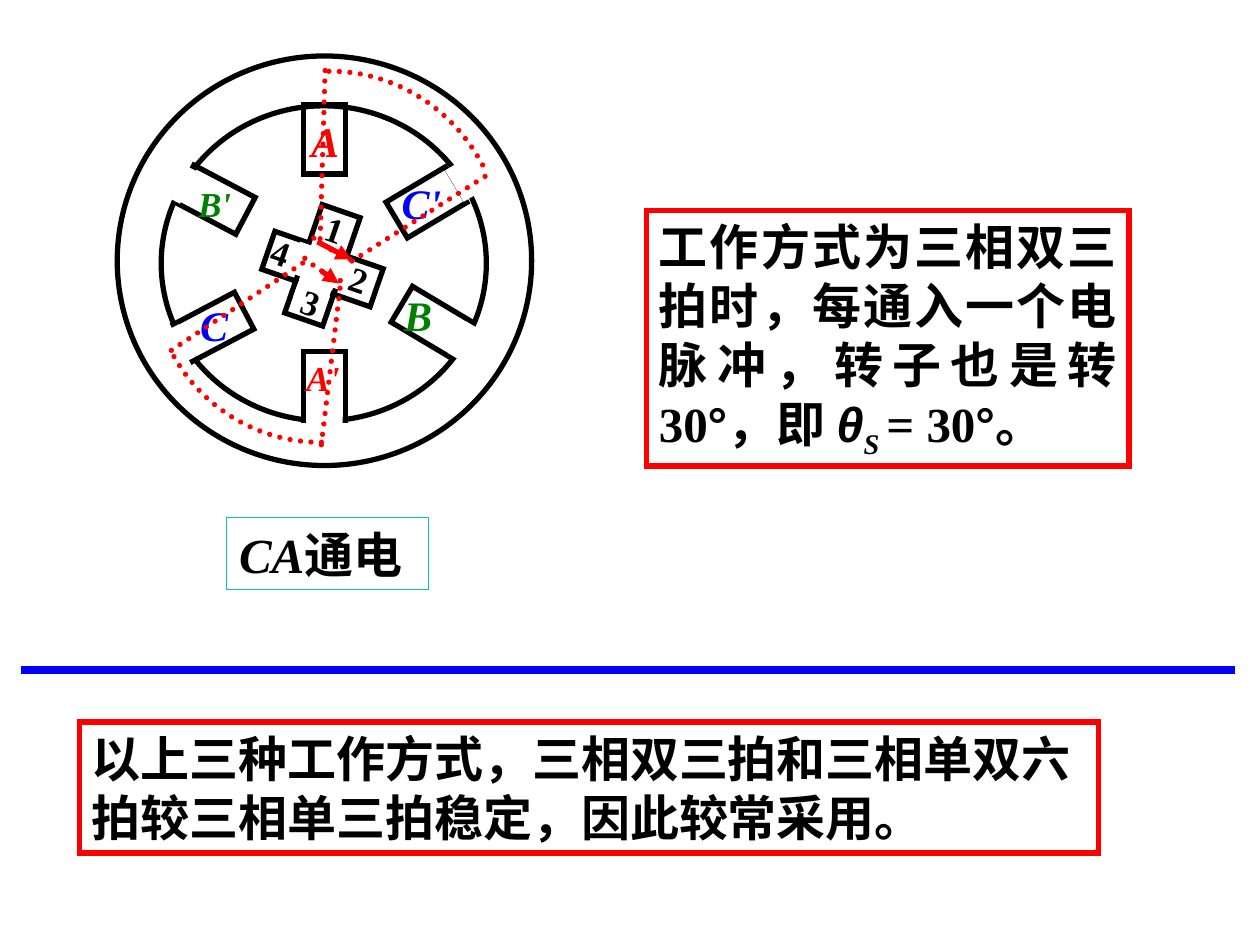
from lxml import etree
from pptx import Presentation
from pptx import util as u
from pptx.dml.color import RGBColor
from pptx.enum import dml, shapes, text
from pptx.oxml.ns import qn

Pt = u.Pt
SHAPE = shapes.MSO_SHAPE
BLACK, WHITE, RED, BLUE, GREEN = "000000", "FFFFFF", "FF0000", "0000FF", "008000"
TEAL = "00CC99"
SERIF, SANS = "Times New Roman", "Arial"


def rgb(value):
    return RGBColor.from_string(value)


def style_line(sp, color, width, dotted=False, arrow=False):
    sp.line.color.rgb = rgb(color)
    sp.line.width = Pt(width)
    if dotted:
        sp.line.dash_style = dml.MSO_LINE.ROUND_DOT
    ln = sp._element.spPr.find(qn("a:ln"))
    if dotted:
        ln.set("cap", "rnd")
    else:
        etree.SubElement(ln, qn("a:miter"), lim="800000")
    if arrow:
        etree.SubElement(ln, qn("a:tailEnd"), type="triangle")


def add_shape(s, kind, box, line=None, width=3, fill=None, rot=0):
    sp = s.shapes.add_shape(kind, *map(Pt, box))
    sp.shadow.inherit = False
    sp.rotation = rot
    if fill:
        sp.fill.solid()
        sp.fill.fore_color.rgb = rgb(fill)
    else:
        sp.fill.background()
    if line:
        style_line(sp, line, width)
    else:
        sp.line.fill.background()
    return sp


def add_line(s, start, end, color=RED, width=3, **ends):
    sp = s.shapes.add_connector(shapes.MSO_CONNECTOR.STRAIGHT,
                                *map(Pt, (*start, *end)))
    style_line(sp, color, width, **ends)
    etree.SubElement(sp._element.spPr, qn("a:effectLst"))


def add_curve(s, points):
    """Dotted cubic curve through four control points."""
    (x0, y0), (x1, y1), (x2, y2), (x3, y3) = points

    def at(t):
        a, b, c, d = (1 - t) ** 3, 3 * t * (1 - t) ** 2, 3 * t * t * (1 - t), t ** 3
        return (Pt(a * x0 + b * x1 + c * x2 + d * x3),
                Pt(a * y0 + b * y1 + c * y2 + d * y3))

    fb = s.shapes.build_freeform(*at(0))
    fb.add_line_segments([at(i / 24) for i in range(1, 25)], close=False)
    sp = fb.convert_to_shape()
    sp.shadow.inherit = False
    sp.fill.background()
    style_line(sp, RED, 3, dotted=True)


def add_run(p, words, size=28, font=SERIF, color=BLACK, italic=False, baseline=0):
    r = p.add_run()
    r.text = words
    r.font.name, r.font.size = font, Pt(size)
    r.font.bold, r.font.italic = True, italic
    r.font.color.rgb = rgb(color)
    if baseline:
        r.font._element.set("baseline", str(baseline * 1000))


def fill_text(sp, runs, align=text.PP_ALIGN.LEFT, wrap=True):
    tf = sp.text_frame
    tf.word_wrap = wrap
    tf.vertical_anchor = text.MSO_ANCHOR.TOP
    tf.auto_size = text.MSO_AUTO_SIZE.SHAPE_TO_FIT_TEXT
    p = tf.paragraphs[0]
    p.alignment = align
    for words, fmt in runs:
        add_run(p, words, **fmt)


def text_panel(s, box, runs, line=RED, width=3, align=text.PP_ALIGN.LEFT):
    fill_text(add_shape(s, SHAPE.RECTANGLE, box, line, width), runs, align)


def draw_motor(s, box):
    left, top, w, h = box
    cx, cy = left + w / 2, top + h / 2

    def place(dx, dy):
        return cx + dx, cy + dy

    def centred(dx, dy, w, h):
        return cx + dx - w / 2, cy + dy - h / 2, w, h

    def block(centre, size, rot, **fmt):
        add_shape(s, SHAPE.RECTANGLE, centred(*centre, *size), rot=rot, **fmt)

    def label(words, centre, width, size, color, rot=0):
        box = centred(*centre, width, 36 if size == 24 else 31.7)
        sp = s.shapes.add_textbox(*map(Pt, box))
        sp.rotation = rot
        fmt = dict(size=size, color=color, italic=not words.isdigit())
        fill_text(sp, [(words, fmt)], wrap=False)

    # Stator rings
    add_shape(s, SHAPE.OVAL, centred(-0.4, 1.5, 185.8, 180), BLACK)
    add_shape(s, SHAPE.OVAL, box, BLACK)

    # Poles: centre, rotation, centre of the white gap in the ring
    poles = [((0, -69.4), 0, None),
             ((0, 71.7), 0, (0, 96.9)),
             ((58.3, -33.4), 239.2, (81.4, -46.9)),
             ((-62.6, -34.9), 297.8, (-85, -45.7)),
             ((61.2, 35), 120.8, (82.8, 47.9)),
             ((-63.4, 37.8), 62.2, (-85.7, 49.4))]
    for centre, rot, gap in poles:
        block(centre, (23.8, 39.6), rot, line=BLACK)
        if gap:
            block(gap, (20.9, 16.6), rot, fill=WHITE)

    # Winding labels
    for words, centre, width, size, color in [
            ("C", (-63, 36.8), 30.2, 24, BLUE),
            ("A'", (-0.4, 67), 34, 20, RED),
            ("B", (53.6, 31), 30.2, 24, GREEN),
            ("B'", (-62.3, -32.4), 34, 20, GREEN),
            ("C'", (57.5, -33.1), 41, 24, BLUE),
            ("A", (0.4, -68.4), 30.2, 24, RED)]:
        label(words, centre, width, size, color)

    # Rotor cross with its white core, and tooth numbers
    tilt = 19.1
    block((-1.1, 2.6), (23, 65.5), tilt, line=BLACK)
    block((-1.1, 4.7), (23, 65.5), tilt + 270, line=BLACK)
    block((-2.9, 7.2), (19.4, 36), tilt, fill=WHITE)
    block((-1.4, 3.3), (32.4, 18), tilt, fill=WHITE, line=WHITE, width=0.75)
    for words, centre in [("3", (-7.6, 23.8)), ("4", (-24.8, -4.3)),
                          ("1", (6.1, -18)), ("2", (19.8, 10.8))]:
        label(words, centre, 24.5, 20, BLACK, tilt)

    # Flux loops: two dotted arcs, two dotted lines and an arrow each
    loops = [
        ([[(-6.1, -12.9), (0.4, -7.9), (7.6, -3.6), (14.8, -0.7)],
          [(90.4, -54.7), (71.6, -90), (34.9, -110.8), (-3.2, -108)]],
         [((91.8, -48.2), (12.6, 2.2)), ((0.4, -108.7), (-2.5, -10.8))],
         ((-4, -10.8), (15.5, -0.7))),
        ([[(-11.2, -1.4), (-4.7, 4.4), (2.5, 8.7), (9.7, 11.6)],
          [(-86, 54.8), (-68, 86.4), (-34.2, 105.2), (1.8, 103.7)]],
         [((-87.5, 51.2), (-10.4, 0)), ((-1.8, 105.2), (9, 15.2))],
         ((-1.8, 5.8), (8.3, 13)))]
    for arcs, lines, (tail, head) in loops:
        for arc in arcs:
            add_curve(s, [place(*pt) for pt in arc])
        for start, end in lines:
            add_line(s, place(*start), place(*end), dotted=True)
        add_line(s, place(*tail), place(*head), arrow=True)


def main():
    prs = Presentation()
    prs.slide_width, prs.slide_height = Pt(720), Pt(540)
    s = prs.slides.add_slide(prs.slide_layouts[6])
    justify = text.PP_ALIGN.JUSTIFY

    # Conclusion and divider
    text_panel(s, (45.4, 412.6, 582.5, 74.9), [
        ("以上三种工作方式，三相双三拍和三相单双六拍较三相单三拍稳定，因此较常采用。", {})])
    add_line(s, (12.2, 383), (705.6, 383), BLUE, 4.5)

    # Step angle
    text_panel(s, (369.4, 120.2, 275.8, 146.2), [
        ("工作方式为三相双三拍时，每通入一个电脉冲，转子也是转30", {}),
        ("°", dict(font=SANS)),
        ("，即 ", {}),
        ("θ", dict(font=SANS, italic=True)),
        ("S ", dict(italic=True, baseline=-25)),
        ("= 30", {}),
        ("°", dict(font=SANS)),
        ("。", {})], align=justify)

    # Motor and its caption
    text_panel(s, (129.6, 295.9, 115.2, 41), [
        ("CA", dict(italic=True)), ("通电", {})], TEAL, 0.75, justify)
    draw_motor(s, (67, 32, 236.8, 234))

    prs.save("out.pptx")


if __name__ == "__main__":
    main()
